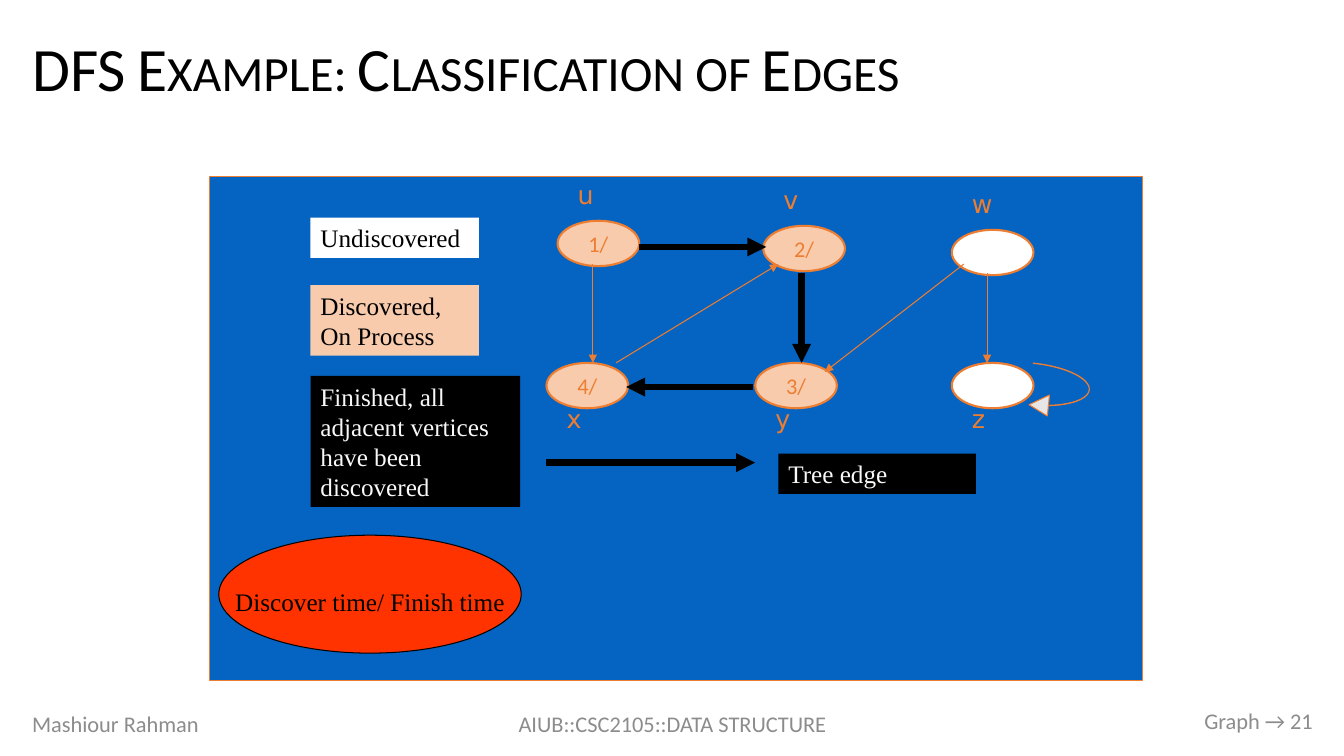
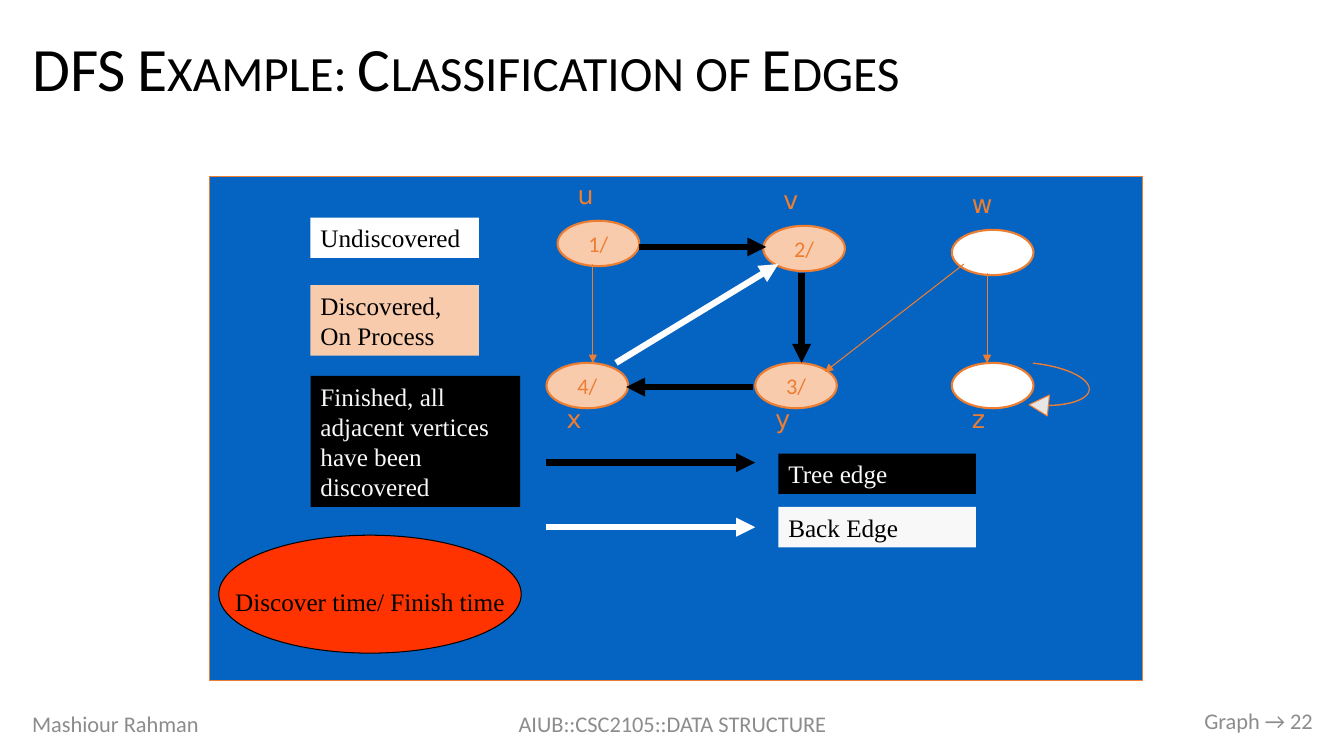
"""Build two slides that classify the edges of a depth-first search."""
from lxml import etree
from pptx import Presentation
from pptx import util as u
from pptx.dml.color import RGBColor
from pptx.enum import shapes, text
from pptx.oxml.ns import qn

TITLE = "DFS Example: Classification of Edges"
FOOTERS = [
    ("Mashiour Rahman", (22, 698, 300, 40), "LEFT"),
    ("AIUB::CSC2105::DATA STRUCTURE", (442, 698, 450, 40), "CENTER"),
    ("Graph → {number}", (1012, 695, 300, 40), "RIGHT"),
]
NODES = [
    ("u", "1/", 553, 219),
    ("v", "2/", 757, 224),
    ("w", "", 944, 228),
    ("x", "4/", 542, 360),
    ("y", "3/", 749, 360),
    ("z", "", 944, 360),
]
EDGES = {
    "uv": (634, 245, 760, 245),
    "vy": (795, 271, 795, 360),
    "yx": (747, 384, 621, 384),
    "ux": (588, 262, 588, 360),
    "wz": (979, 271, 979, 360),
    "wy": (956, 262, 818, 369),
    "xv": (611, 360, 772, 262),
}
STATES = [
    ("Undiscovered", (308, 216, 167, 40), "white", "black"),
    ("Discovered, On Process", (308, 283, 167, 70), "peach", "black"),
    ("Finished, all adjacent vertices have been discovered",
     (308, 373, 208, 130), "black", "pale"),
]
TREE = {"label": "Tree edge", "line": "black", "fill": "black", "ink": "pale",
        "arrow_y": 459, "label_y": 450, "edges": ("uv", "vy", "yx")}
BACK = {"label": "Back Edge", "line": "white", "fill": "pale", "ink": "black",
        "arrow_y": 523, "label_y": 503, "edges": ("xv",)}
SLIDES = [(21, [TREE]), (22, [TREE, BACK])]
TIMES_NOTE = "Discover time/ Finish time"

COLORS = {
    "black": "000000", "white": "FFFFFF", "pale": "F8F8F8", "grey": "8C8C8C",
    "silver": "E7E6E6", "blue": "0563C1", "orange": "ED7D31",
    "peach": "F8CBAD", "red": "FF3300",
}
FONTS = {
    "title": {"name": "Calibri", "size": u.Pt(44)},
    "footer": {"name": "Calibri", "size": u.Pt(16)},
    "vertex": {"name": "DejaVu Sans", "size": u.Pt(18)},
    "legend": {"name": "Times New Roman", "size": u.Pt(18)},
}
PX = 9144
NODE_SIZE = (81, 45)
UPPER_LABEL, LOWER_LABEL = -46, 35
MIDDLE_ROW = 300
THIN, THICK = 0.75, 4.5


def color(name):
    return RGBColor.from_string(COLORS[name])


def emu(lengths):
    return [length * PX for length in lengths]


def write(box, words, font, ink, align="LEFT", anchor="TOP", **frame_format):
    frame = box.text_frame
    settings = {"word_wrap": True, "auto_size": text.MSO_AUTO_SIZE.NONE,
                "vertical_anchor": text.MSO_ANCHOR[anchor], **frame_format}
    for name, value in settings.items():
        setattr(frame, name, value)
    para = frame.paragraphs[0]
    para.alignment = text.PP_ALIGN[align]
    span = para.add_run()
    span.text = words
    for name, value in FONTS[font].items():
        setattr(span.font, name, value)
    span.font.color.rgb = color(ink)
    return para


def add_text(page, place, *words, **formats):
    write(page.shapes.add_textbox(*emu(place)), *words, **formats)


def add_shape(page, kind, place, fill, line=None, width=THIN):
    shape = page.shapes.add_shape(shapes.MSO_SHAPE[kind], *emu(place))
    shape.shadow.inherit = False
    shape.fill.solid()
    shape.fill.fore_color.rgb = color(fill)
    if line:
        shape.line.color.rgb = color(line)
        shape.line.width = u.Pt(width)
    else:
        shape.line.fill.background()
    return shape


def add_arrow(page, ends, line, width):
    arrow = page.shapes.add_connector(shapes.MSO_CONNECTOR.STRAIGHT, *emu(ends))
    arrow.line.color.rgb = color(line)
    arrow.line.width = u.Pt(width)
    etree.SubElement(arrow.line._get_or_add_ln(), qn("a:tailEnd"), type="triangle")
    etree.SubElement(arrow._element.spPr, qn("a:effectLst"))


def add_frame(page, number):
    title = page.shapes.title
    title.left, title.top, title.width, title.height = emu((22, 24, 1290, 93))
    para = write(title, TITLE, "title", "black", anchor="MIDDLE")
    para.line_spacing = 0.9
    para.runs[0].font._element.set("cap", "small")
    for words, place, align in FOOTERS:
        add_text(page, place, words.format(number=number), "footer", "grey",
                 align=align, anchor="MIDDLE")


def add_graph(page, legends):
    loop = add_shape(page, "CURVED_DOWN_ARROW", (1025, 360, 52, 58), "silver", "orange")
    loop.rotation = 95.8
    for index, value in enumerate((0.006, 0.402, 0.369)):
        loop.adjustments[index] = value
    for vertex, times, left, top in NODES:
        node = add_shape(page, "OVAL", (left, top, *NODE_SIZE),
                         "peach" if times else "white", "orange", 1.5)
        if times:
            write(node, times, "footer", "orange", "CENTER", "MIDDLE", word_wrap=False)
        shift = UPPER_LABEL if top < MIDDLE_ROW else LOWER_LABEL
        add_text(page, (left + 2, top + shift, 81, 40), vertex, "vertex", "orange",
                 margin_left=18 * PX)
    lines = {edge: legend["line"] for legend in legends for edge in legend["edges"]}
    for edge, ends in EDGES.items():
        add_arrow(page, ends, lines.get(edge, "orange"), THICK if edge in lines else THIN)


def add_legends(page, legends):
    for legend in legends:
        y = legend["arrow_y"]
        add_arrow(page, (542, y, 749, y), legend["line"], THICK)
        box = add_shape(page, "RECTANGLE", (772, legend["label_y"], 196, 40), legend["fill"])
        write(box, legend["label"], "legend", legend["ink"])
    for words, place, fill, ink in STATES:
        write(add_shape(page, "RECTANGLE", place, fill), words, "legend", ink)
    note = add_shape(page, "OVAL", (217, 531, 300, 117), "red", "black")
    write(note, TIMES_NOTE, "legend", "black", "CENTER", "MIDDLE",
          word_wrap=False, margin_top=20 * PX)


def main():
    deck = Presentation()
    deck.slide_width, deck.slide_height = emu((1333, 750))
    for number, legends in SLIDES:
        page = deck.slides.add_slide(deck.slide_layouts.get_by_name("Title Only"))
        add_frame(page, number)
        add_shape(page, "RECTANGLE", (208, 175, 925, 500), "blue", "orange")
        add_graph(page, legends)
        add_legends(page, legends)
    deck.save("out.pptx")


if __name__ == "__main__":
    main()
